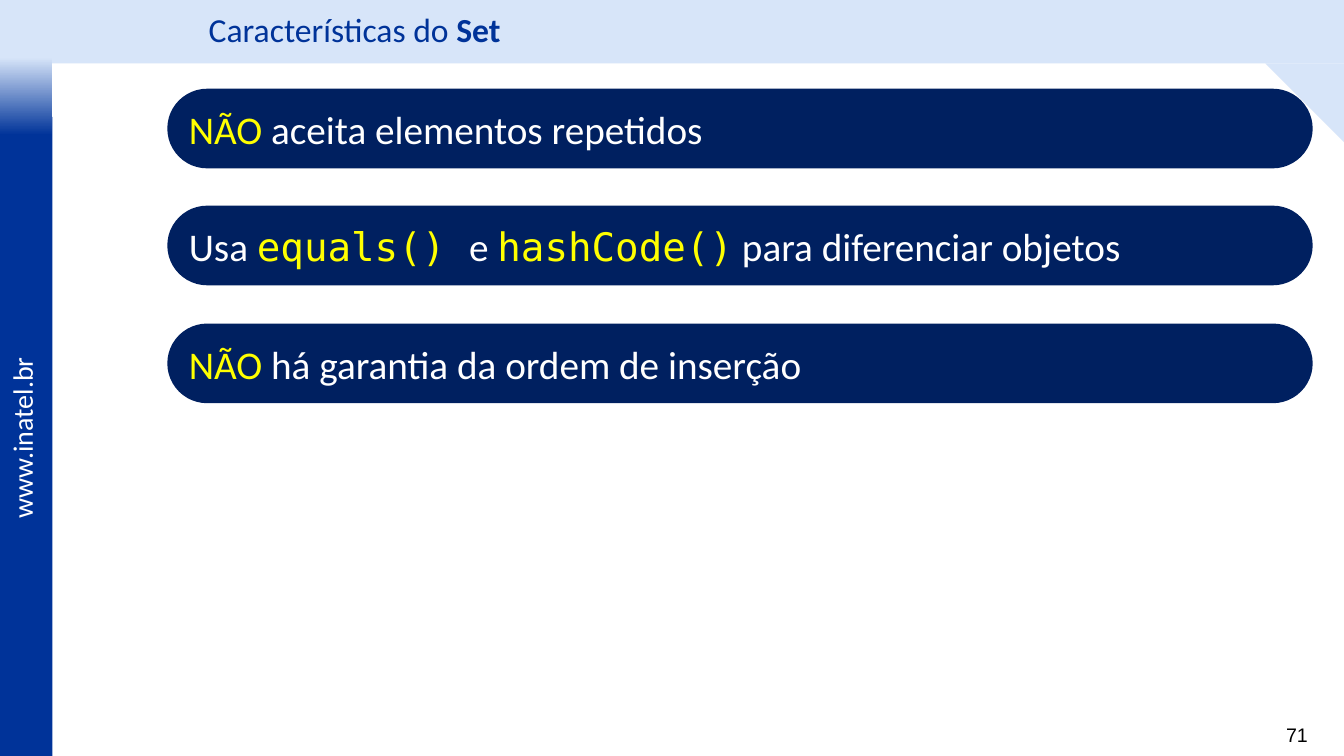
from pptx import Presentation
from pptx.dml.color import RGBColor
from pptx.enum.shapes import MSO_SHAPE
from pptx.enum.text import MSO_ANCHOR, MSO_AUTO_SIZE, PP_ALIGN
from pptx.util import Pt

RECT = MSO_SHAPE.RECTANGLE
ROUND = MSO_SHAPE.ROUNDED_RECTANGLE
TRIANGLE = MSO_SHAPE.ISOSCELES_TRIANGLE
MIDDLE, TOP = MSO_ANCHOR.MIDDLE, MSO_ANCHOR.TOP
LEFT, RIGHT = PP_ALIGN.LEFT, PP_ALIGN.RIGHT
FIXED = MSO_AUTO_SIZE.NONE

PX = 9144  # 100 px to the inch
WIDTH, HEIGHT = 1333, 750
COLORS = {"pale": "D7E5F9", "blue": "003399", "navy": "002060",
          "yellow": "FFFF00", "white": "FFFFFF", "black": "000000"}
SANS, MONO, PLAIN = "Calibri", "DejaVu Sans Mono", "Arial"


def color(name):
    return RGBColor.from_string(COLORS[name])


class Deck:
    """Holds the style and the current slide."""

    def __init__(self):
        self.deck = Presentation()
        self.deck.slide_width = WIDTH * PX
        self.deck.slide_height = HEIGHT * PX
        self.slide = self.deck.slides.add_slide(self.deck.slide_layouts[5])
        self.shapes = self.slide.shapes

    def shape(self, kind, box, fill):
        item = self.shapes.add_shape(kind, *(n * PX for n in box))
        item.shadow.inherit = False
        item.line.fill.background()
        item.fill.solid()
        item.fill.fore_color.rgb = color(fill)
        return item

    def fade(self, box, start, end):
        fill = self.shape(RECT, box, start).fill
        fill.gradient()
        fill.gradient_angle = 270
        for stop, name, place in zip(fill.gradient_stops, (start, end), (0, 1)):
            stop.color.rgb = color(name)
            stop.position = place

    def put_text(self, item, runs, size, anchor=MIDDLE, align=LEFT):
        """Each run is (text, color, font, bold)."""
        frame = item.text_frame
        frame.word_wrap = True
        frame.auto_size = FIXED
        frame.vertical_anchor = anchor
        para = frame.paragraphs[0]
        para.alignment = align
        for text, tone, font, bold in runs:
            run = para.add_run()
            run.text = text
            run.font.size = Pt(size)
            run.font.name = font
            run.font.bold = bold
            run.font.color.rgb = color(tone)
        return para

    def label(self, box, run, size, align=LEFT, turn=0):
        item = self.shapes.add_textbox(*(n * PX for n in box))
        item.rotation = turn
        self.put_text(item, [run], size, TOP, align)

    def title(self, box, runs, size):
        item = self.shapes.title
        item.left, item.top, item.width, item.height = (n * PX for n in box)
        self.put_text(item, runs, size).line_spacing = 0.9
        # Bring the title in front of the header band
        item.element.getparent().append(item.element)

    def bar(self, box, runs):
        item = self.shape(ROUND, box, "navy")
        item.adjustments[0] = 0.5
        self.put_text(item, runs, 28)


def main():
    page = Deck()

    # Header and side bands
    page.shape(RECT, (0, 0, WIDTH, 63), "pale")
    page.shape(RECT, (0, 116, 52, 634), "blue")
    page.fade((0, 57, 52, 77), "pale", "blue")
    page.label((-72, 409, 187, 43), ("www.inatel.br", "white", SANS, False),
               20, turn=270)

    # Page number
    page.label((1242, 712, 65, 34), ("71", "black", PLAIN, False), 14, RIGHT)

    # Corner
    corner = page.shape(TRIANGLE, (1255, 63, 79, 79), "pale")
    corner.adjustments[0] = 0
    corner.rotation = 180

    # Title
    page.title((197, 0, 1136, 63),
               [("Características do ", "blue", SANS, False),
                ("Set", "blue", SANS, True)], 24)

    # Traits of the set
    traits = [
        [("NÃO ", "yellow", SANS, False),
         ("aceita elementos repetidos", "white", SANS, False)],
        [("Usa ", "white", SANS, False),
         ("equals() ", "yellow", MONO, False),
         ("e ", "white", SANS, False),
         ("hashCode()", "yellow", MONO, False),
         (" para diferenciar objetos", "white", SANS, False)],
        [("NÃO ", "yellow", SANS, False),
         ("há garantia da ordem de inserção", "white", SANS, False)],
    ]
    for row, runs in enumerate(traits):
        page.bar((166, 88 + 233 * row // 2, 1136, 79), runs)

    page.deck.save("out.pptx")


if __name__ == "__main__":
    main()
